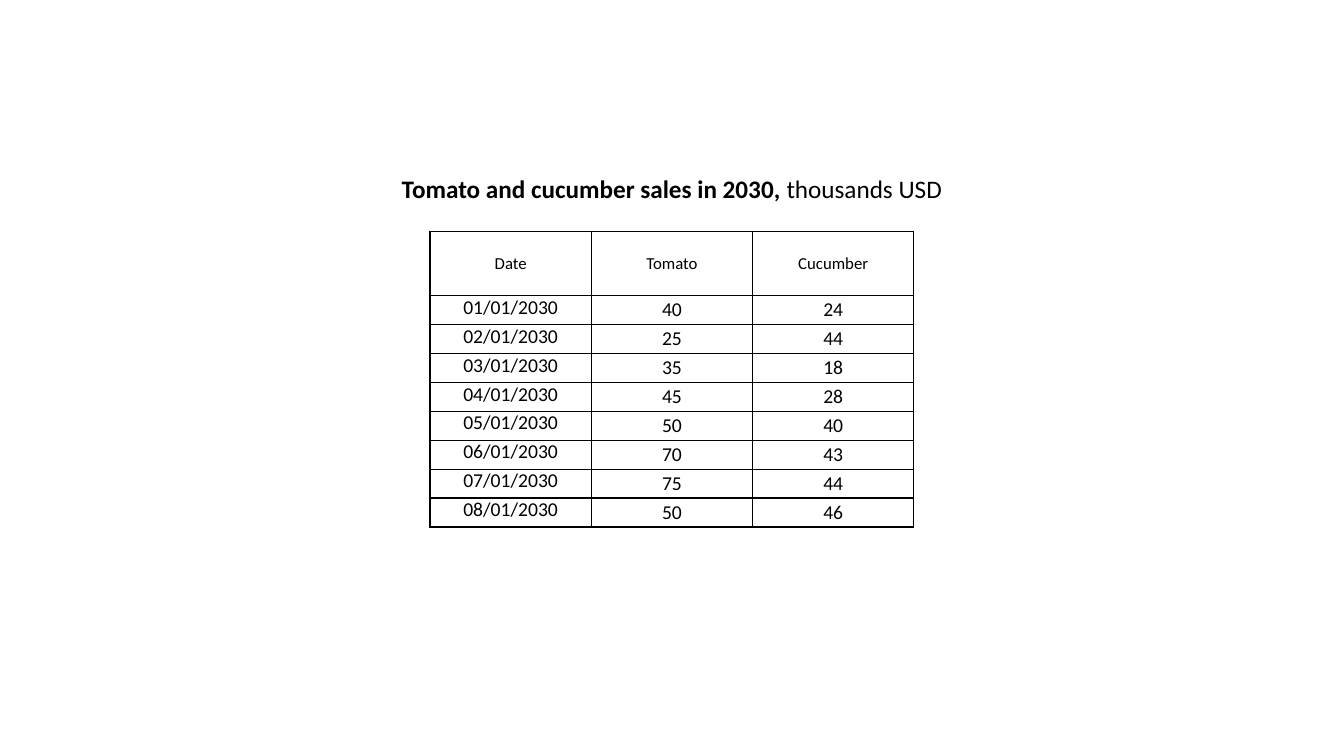
"""Build a slide with a table of tomato and cucumber sales."""
import pptx
import pptx.dml.color
import pptx.enum.text
import pptx.oxml
import pptx.oxml.ns
import pptx.util

Pt = pptx.util.Pt
CENTER = pptx.enum.text.PP_ALIGN.CENTER
MIDDLE = pptx.enum.text.MSO_ANCHOR.MIDDLE
COLORS = {"text": "000000", "border": "000000"}
HEADERS = ["Date", "Tomato", "Cucumber"]
TOMATO = [40, 25, 35, 45, 50, 70, 75, 50]
CUCUMBER = [24, 44, 18, 28, 40, 43, 44, 46]


def style_run(r, size, bold=False):
    r.font.name = "Calibri"
    r.font.size = Pt(size)
    r.font.bold = bold
    r.font.color.rgb = pptx.dml.color.RGBColor.from_string(COLORS["text"])


def add_borders(cell):
    tc_pr = cell._tc.get_or_add_tcPr()
    for side in ("lnL", "lnR", "lnT", "lnB"):
        tc_pr.append(pptx.oxml.parse_xml(
            f'<a:{side} {pptx.oxml.ns.nsdecls("a")} w="{Pt(1)}"><a:solidFill>'
            f'<a:srgbClr val="{COLORS["border"]}"/></a:solidFill></a:{side}>'))


prs = pptx.Presentation()
prs.slide_width, prs.slide_height = Pt(960), Pt(540)
s = prs.slides.add_slide(prs.slide_layouts[6])

rows = [HEADERS]
for month, (tomato, cucumber) in enumerate(zip(TOMATO, CUCUMBER), 1):
    rows.append([f"{month:02d}/01/2030", str(tomato), str(cucumber)])

frame = s.shapes.add_table(len(rows), len(HEADERS), Pt(307.2), Pt(165.4), Pt(345.6), Pt(208.8))
table = frame.table
table.first_row = False
table.horz_banding = False
for column in table.columns:
    column.width = Pt(115.2)
for i, values in enumerate(rows):
    table.rows[i].height = Pt(19.6 if i else 45.7)
    for j, value in enumerate(values):
        cell = table.cell(i, j)
        cell.text_frame.text = value
        cell.vertical_anchor = MIDDLE
        if i:
            cell.margin_left = cell.margin_top = cell.margin_right = 0
            cell.margin_bottom = Pt(0 if j else 3.6)
        p = cell.text_frame.paragraphs[0]
        p.alignment = CENTER
        style_run(p.runs[0], 14 if i else 12)
        add_borders(cell)
        cell.fill.background()

title = s.shapes.add_textbox(Pt(189.4), Pt(120.2), Pt(581), Pt(29))
tf = title.text_frame
tf.word_wrap = True
tf.auto_size = pptx.enum.text.MSO_AUTO_SIZE.SHAPE_TO_FIT_TEXT
p = tf.paragraphs[0]
p.alignment = CENTER
for text, bold in (("Tomato and cucumber sales in 2030, ", True), ("thousands USD", False)):
    r = p.add_run()
    r.text = text
    style_run(r, 18, bold)

prs.save("out.pptx")
